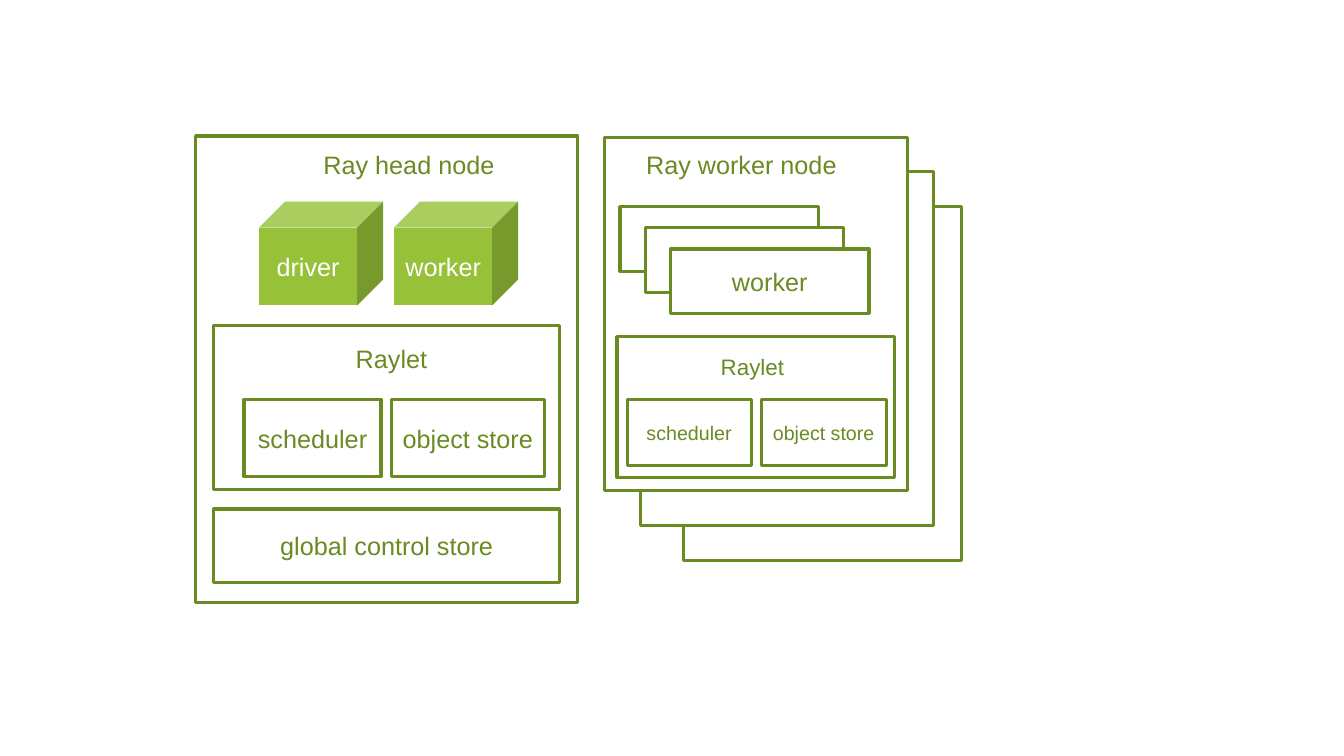
"""Build the slide that shows a Ray head node beside a stack of Ray worker nodes."""
from pptx import Presentation
from pptx import util as u
from pptx.dml.color import RGBColor
from pptx.enum import shapes, text

PX = 9144
GREEN = RGBColor(0x6A, 0x8A, 0x22)
LIME = RGBColor(0x97, 0xC1, 0x39)
WHITE = RGBColor(0xFF, 0xFF, 0xFF)

deck = Presentation()
deck.slide_width, deck.slide_height = 1333 * PX, 750 * PX
page = deck.slides.add_slide(deck.slide_layouts[6])


def add_block(left, top, width, height, label="", size=18, cube=False, fill=None):
    """Add an outlined rectangle or a solid cube with a centred label."""
    kind = shapes.MSO_SHAPE.CUBE if cube else shapes.MSO_SHAPE.RECTANGLE
    block = page.shapes.add_shape(kind, left * PX, top * PX, width * PX, height * PX)
    block.shadow.inherit = False
    if fill is None:
        block.fill.background()
    else:
        block.fill.solid()
        block.fill.fore_color.rgb = fill
    if cube:
        block.line.fill.background()
    else:
        block.line.color.rgb = GREEN
        block.line.width = u.Pt(2.25)
    if label:
        frame = block.text_frame
        frame.text = label
        frame.margin_left = frame.margin_right = 5 * PX
        frame.vertical_anchor = text.MSO_ANCHOR.MIDDLE
        para = frame.paragraphs[0]
        para.alignment = text.PP_ALIGN.CENTER
        font = para.runs[0].font
        font.name, font.size = "Arial", u.Pt(size)
        font.color.rgb = WHITE if cube else GREEN


def add_title(left, top, width, height, label, size=18, wrap=True):
    """Add a left-aligned title in a box that grows with its text."""
    box = page.shapes.add_textbox(left * PX, top * PX, width * PX, height * PX)
    frame = box.text_frame
    frame.text = label
    frame.word_wrap = wrap
    frame.auto_size = text.MSO_AUTO_SIZE.SHAPE_TO_FIT_TEXT
    font = frame.paragraphs[0].runs[0].font
    font.name, font.size = "Arial", u.Pt(size)
    font.color.rgb = GREEN


add_block(194, 135, 379, 463)
add_title(311, 143, 203, 40, "Ray head node")

for left, top, width in ((678, 205, 276), (635, 170, 291), (600, 136, 300)):
    add_block(left, top, width, 351, fill=WHITE)
add_title(631, 143, 211, 40, "Ray worker node", wrap=False)

add_block(212, 505, 343, 73, "global control store")
for left, label in ((257, "driver"), (391, "worker")):
    add_block(left, 200, 123, 103, label, cube=True, fill=LIME)

add_block(212, 323, 343, 163)
add_block(388, 396, 152, 77, "object store")
add_block(242, 396, 136, 77, "scheduler")
add_title(343, 336, 97, 40, "Raylet")

add_block(612, 334, 275, 140)
add_block(755, 396, 124, 66, "object store", size=14)
add_block(622, 396, 123, 66, "scheduler", size=14)
add_title(705, 345, 109, 37, "Raylet", size=16)

for step, label in enumerate(("", "", "worker")):
    add_block(615 + 25 * step, 205 + 21 * step, 197, 64, label, fill=WHITE)

deck.save("out.pptx")
